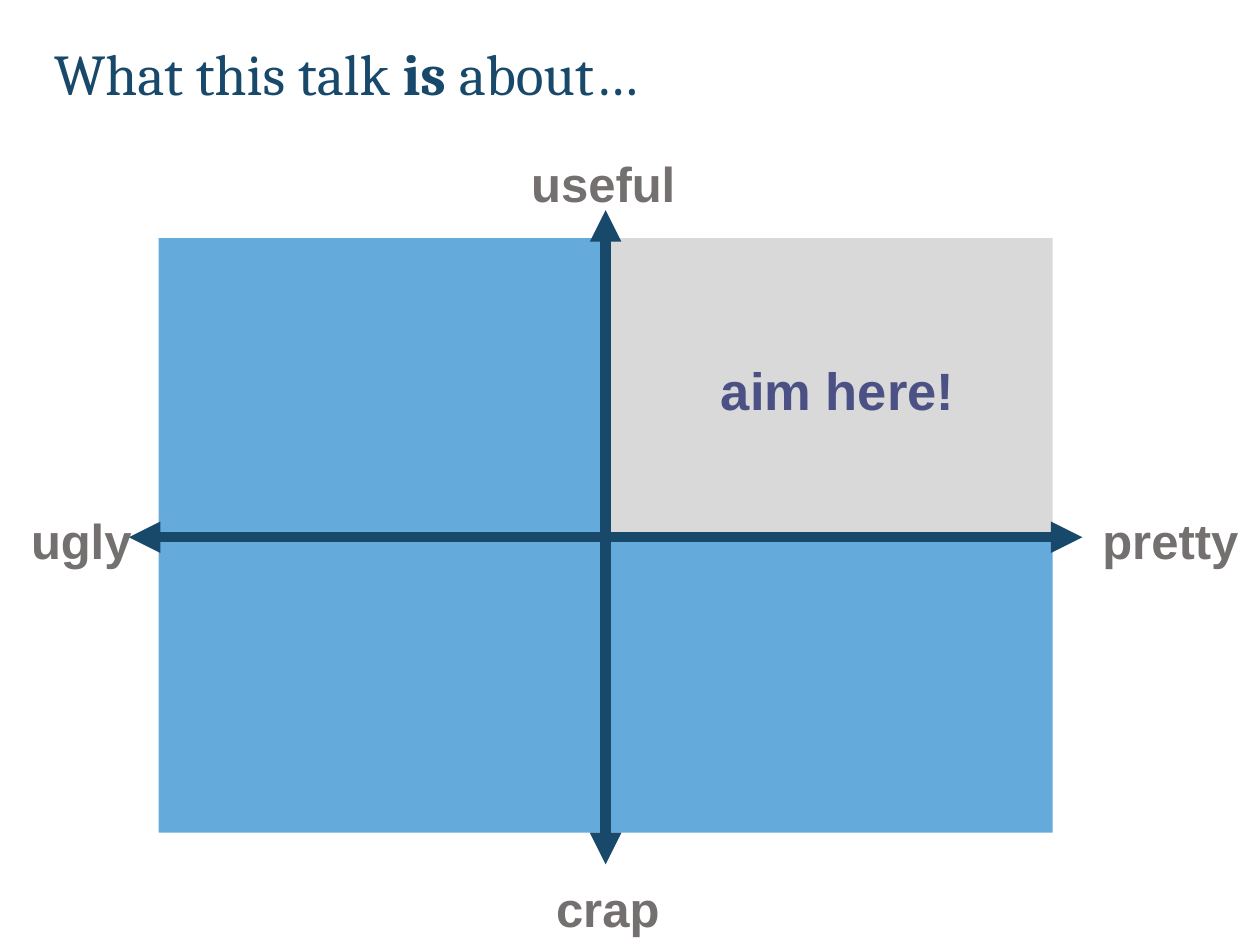
from pptx import Presentation
from pptx.dml.color import RGBColor
from pptx.enum.shapes import MSO_CONNECTOR, MSO_SHAPE
from pptx.enum.text import MSO_AUTO_SIZE, PP_ALIGN
from pptx.oxml.ns import qn
from pptx.util import Pt
from lxml.etree import SubElement

NAVY = RGBColor(0x18, 0x49, 0x6B)
BLUE = RGBColor(0x64, 0xAB, 0xDC)
LIGHT_GRAY = RGBColor(0xD9, 0xD9, 0xD9)
GRAY = RGBColor(0x75, 0x70, 0x70)
INDIGO = RGBColor(0x4B, 0x51, 0x85)


def add_text(slide, box, pieces, size, color, font, align=PP_ALIGN.LEFT):
    label = slide.shapes.add_textbox(*map(Pt, box))
    frame = label.text_frame
    frame.word_wrap = False
    frame.auto_size = MSO_AUTO_SIZE.SHAPE_TO_FIT_TEXT
    paragraph = frame.paragraphs[0]
    paragraph.alignment = align
    for words, bold in pieces:
        run = paragraph.add_run()
        run.text = words
        run.font.name = font
        run.font.size = Pt(size)
        run.font.bold = bold
        run.font.color.rgb = color


def add_label(slide, box, words, size=28, color=GRAY):
    add_text(slide, box, [(words, True)], size, color, "Arial", PP_ALIGN.CENTER)


def add_axis(shapes, start, end):
    axis = shapes.add_connector(MSO_CONNECTOR.STRAIGHT, *map(Pt, start + end))
    axis.line.color.rgb = NAVY
    axis.line.width = Pt(6)
    line = axis.line._get_or_add_ln()
    for arrowhead in ("a:headEnd", "a:tailEnd"):
        SubElement(line, qn(arrowhead), type="triangle")
    SubElement(axis._element.spPr, qn("a:effectLst"))


def add_title(slide, box):
    pieces = [("What this talk ", False), ("is", True), (" about…", False)]
    add_text(slide, box, pieces, 33, NAVY, "Cambria")


def add_quadrants(slide, box):
    left, top, width, height = box
    gap = 5.4
    cell_width, cell_height = (width - gap) / 2, height / 2
    for row in range(2):
        for column in range(2):
            is_target = (row, column) == (0, 1)
            x = left + column * (cell_width + gap)
            y = top + row * cell_height
            quadrant = slide.shapes.add_shape(
                MSO_SHAPE.RECTANGLE, Pt(x), Pt(y), Pt(cell_width), Pt(cell_height))
            quadrant.shadow.inherit = False
            quadrant.fill.solid()
            quadrant.fill.fore_color.rgb = LIGHT_GRAY if is_target else BLUE
            quadrant.line.fill.background()
            if is_target:
                add_label(slide, (x + 55.4, y + 64.8, 149, 43.9),
                          "aim here!", 30, INDIGO)


def add_axes(slide, box):
    left, top, width, height = box
    center_x, center_y = left + width / 2, top + height / 2
    overhang = 17
    axes = slide.shapes.add_group_shape().shapes
    add_axis(axes, (center_x, top - overhang + 1),
             (center_x, top + height + overhang + 1))
    add_axis(axes, (left + width + overhang, center_y + 1),
             (left - overhang, center_y + 1))


def add_axis_labels(slide, box):
    left, top, width, height = box
    label_height = 41.2
    side_top = top + height / 2 - 18
    add_label(slide, (left + width + 20.5, side_top, 93.6, label_height), "pretty")
    add_label(slide, (left - 80.6, side_top, 72.7, label_height), "ugly")
    add_label(slide, (left + width / 2 - 50.3, top - 51.8, 97.9, label_height), "useful")
    add_label(slide, (left + width / 2 - 35.9, top + height + 22.4, 74.2, label_height), "crap")


def main():
    presentation = Presentation()
    presentation.slide_width, presentation.slide_height = Pt(720), Pt(540)
    slide = presentation.slides.add_slide(presentation.slide_layouts[6])
    matrix = (90.7, 136.1, 510.8, 339.8)
    add_quadrants(slide, matrix)
    add_axes(slide, matrix)
    add_axis_labels(slide, matrix)
    add_title(slide, (23.8, 18, 358.6, 47.5))
    presentation.save("out.pptx")


if __name__ == "__main__":
    main()
